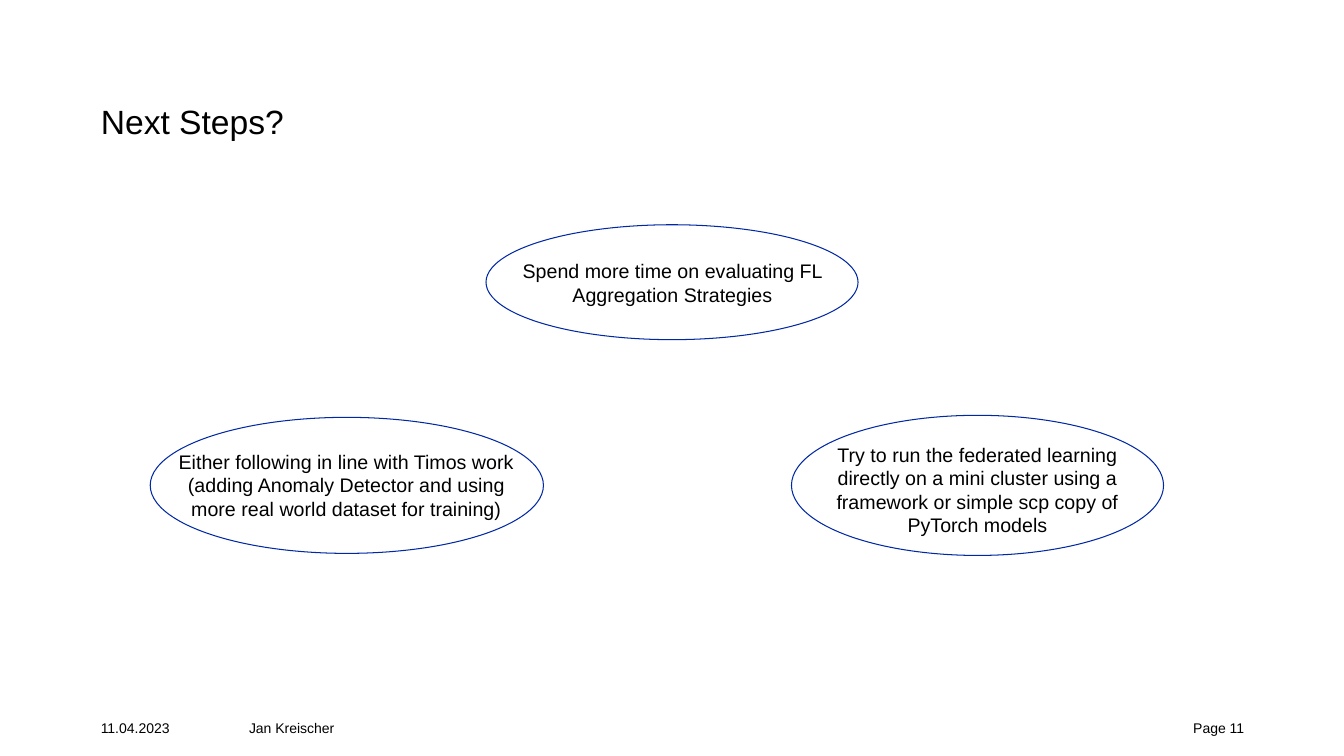
"""Build the "Next Steps?" slide with three outlined ideas."""
from dataclasses import dataclass

from pptx import Presentation, util as u
from pptx.dml.color import RGBColor
from pptx.enum import shapes, text


@dataclass(frozen=True)
class Theme:
    """Colours, font and type sizes of the slide."""
    font: str = "Arial"
    ink: RGBColor = RGBColor(0x00, 0x00, 0x00)
    outline: RGBColor = RGBColor(0x00, 0x28, 0xA5)
    title: int = 24
    body: int = 14
    footer: int = 10
    line: float = 0.75


class SlideBuilder:
    """Draw elements on one slide in a shared style."""

    def __init__(self, slide, theme):
        """Keep the slide and its theme."""
        self.slide = slide
        self.theme = theme

    def label(self, box, lines, size, insets=(0, 0, 0, 0),
              auto_size=text.MSO_AUTO_SIZE.NONE, **paragraph_format):
        """Add a wrapped text box with one paragraph per line."""
        shape = self.slide.shapes.add_textbox(*map(u.Inches, box))
        frame = shape.text_frame
        left, top, right, bottom = map(u.Inches, insets)
        frame_format = {
            "word_wrap": True, "auto_size": auto_size,
            "vertical_anchor": text.MSO_ANCHOR.TOP,
            "margin_left": left, "margin_top": top,
            "margin_right": right, "margin_bottom": bottom,
        }
        for name, value in frame_format.items():
            setattr(frame, name, value)
        frame.text = "\n".join(lines)
        font_format = {"name": self.theme.font, "size": u.Pt(size)}
        for paragraph in frame.paragraphs:
            for name, value in paragraph_format.items():
                setattr(paragraph, name, value)
            for run in paragraph.runs:
                for name, value in font_format.items():
                    setattr(run.font, name, value)
                run.font.color.rgb = self.theme.ink

    def title(self, box, line):
        """Add the slide title."""
        self.label(box, [line], self.theme.title, (0, 0.04, 0, 0),
                   line_spacing=1.15, space_before=u.Pt(12))

    def footer(self, left, width, line, alignment=text.PP_ALIGN.LEFT):
        """Add one entry of the footer row."""
        self.label((left, 7.14, width, 0.24), [line], self.theme.footer,
                   alignment=alignment)

    def ellipse(self, box):
        """Add an unfilled ellipse."""
        shape = self.slide.shapes.add_shape(
            shapes.MSO_SHAPE.OVAL, *map(u.Inches, box))
        shape.shadow.inherit = False
        shape.fill.background()
        shape.line.color.rgb = self.theme.outline
        shape.line.width = u.Pt(self.theme.line)

    def idea(self, text_box, ellipse_box, lines):
        """Add a centred text with an ellipse around it."""
        self.label(text_box, lines, self.theme.body, (0.1,) * 4,
                   text.MSO_AUTO_SIZE.SHAPE_TO_FIT_TEXT,
                   alignment=text.PP_ALIGN.CENTER)
        self.ellipse(ellipse_box)


IDEAS = [
    ((1.59, 4.36, 3.69, 0.91), (1.49, 4.14, 3.9, 1.35),
     ["Either following in line with Timos work",
      "(adding Anomaly Detector and using more real world dataset "
      "for training)"]),
    ((7.96, 4.29, 3.47, 1.14), (7.85, 4.12, 3.69, 1.39),
     ["Try to run the federated learning directly on a mini cluster using "
      "a framework or simple scp copy of PyTorch models"]),
    ((5, 2.47, 3.34, 0.67), (4.82, 2.23, 3.69, 1.14),
     ["Spend more time on evaluating FL Aggregation Strategies"]),
]


def main():
    """Build and save the presentation."""
    presentation = Presentation()
    presentation.slide_width = u.Inches(13.33)
    presentation.slide_height = u.Inches(7.5)
    slide = presentation.slides.add_slide(presentation.slide_layouts[6])
    builder = SlideBuilder(slide, Theme())
    builder.title((1, 0.9, 11.34, 0.67), "Next Steps?")
    builder.footer(11.43, 0.91, "Page 11", text.PP_ALIGN.RIGHT)
    builder.footer(1, 1.36, "11.04.2023")
    builder.footer(2.47, 7.66, "Jan Kreischer")
    for idea in IDEAS:
        builder.idea(*idea)
    presentation.save("out.pptx")


if __name__ == "__main__":
    main()
